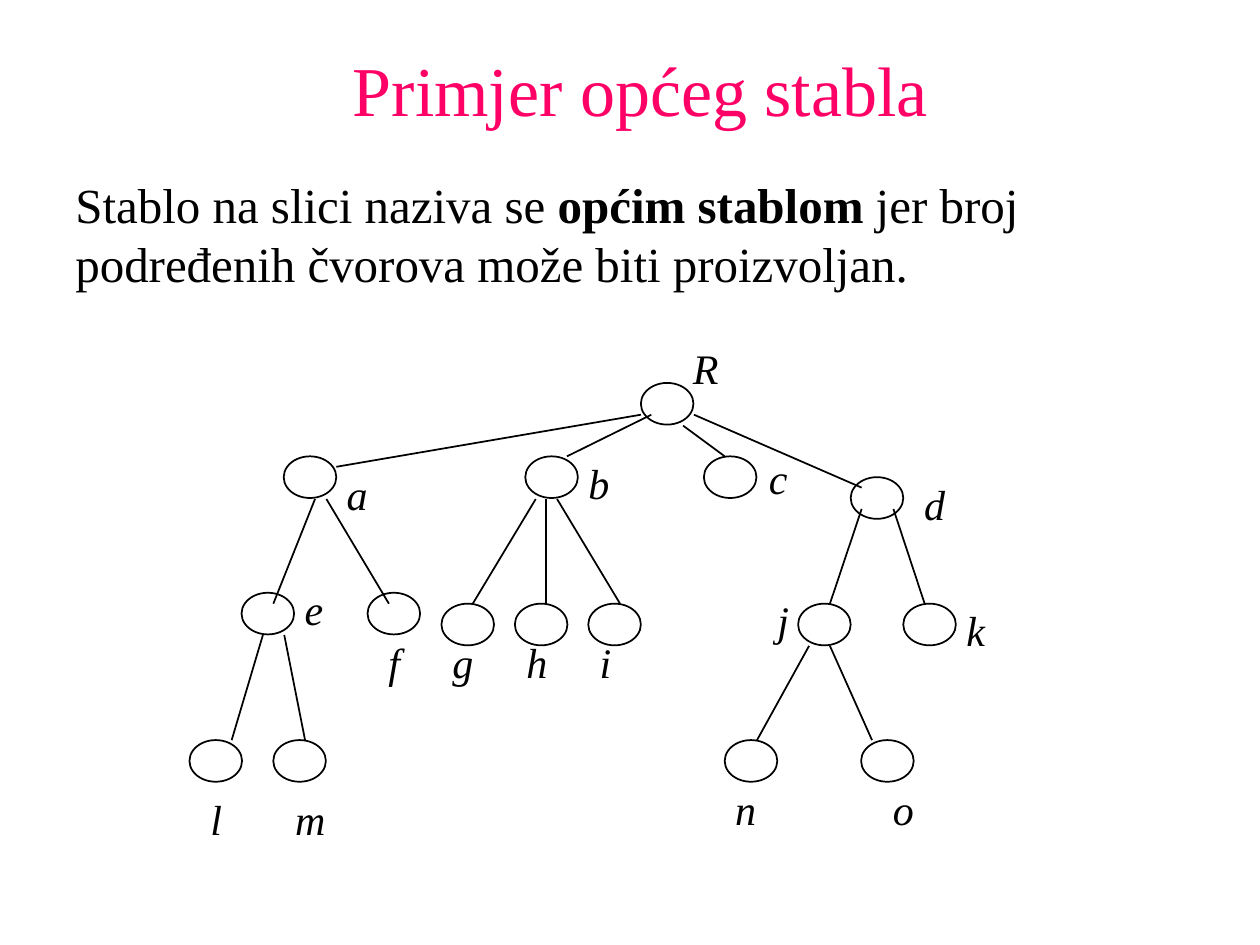
"""Build a slide that shows an example of a general tree."""
from dataclasses import dataclass

from lxml.etree import SubElement
from pptx import Presentation
from pptx.dml.color import RGBColor as Rgb
from pptx.enum.shapes import MSO_CONNECTOR as Link, MSO_SHAPE as Form
from pptx.enum.text import PP_ALIGN as Align
from pptx.oxml.ns import qn
from pptx.util import Cm, Pt


@dataclass(frozen=True)
class Theme:
    face: str = "Times New Roman"
    pink: Rgb = Rgb(0xFF, 0x00, 0x66)
    ink: Rgb = Rgb(0x00, 0x00, 0x00)
    paper: Rgb = Rgb(0xFF, 0xFF, 0xFF)
    head: Pt = Pt(40)
    body: Pt = Pt(28)
    tag: Pt = Pt(24)
    line: Pt = Pt(1)


theme = Theme()
deck = Presentation()
deck.slide_width, deck.slide_height = Cm(25.4), Cm(19.05)
slide = deck.slides.add_slide(deck.slide_layouts[6])
shapes = slide.shapes


def add_text(box, parts, size, color):
    frame = shapes.add_textbox(*map(Cm, box)).text_frame
    frame.word_wrap = True
    para = frame.paragraphs[0]
    para.font.name, para.font.size = theme.face, size
    para.font.color.rgb = color
    for part in parts:
        para.add_run().text = part
    return para


title = add_text((1.06, 0.81, 23.7, 1.96), ["Primjer općeg stabla"], theme.head, theme.pink)
title.alignment = Align.CENTER

intro = add_text(
    (1.27, 3.39, 23.29, 2.64),
    ["Stablo na slici naziva se ", "općim stablom", " jer broj podređenih čvorova može biti proizvoljan."],
    theme.body, theme.ink)
intro.runs[1].font.bold = True

nodes = {
    "R": ((12.92, 7.72), (13.72, 6.78)),
    "a": ((5.72, 9.2), (6.74, 9.32)),
    "b": ((10.59, 9.2), (11.61, 9.09)),
    "c": ((14.19, 9.2), (15.25, 8.99)),
    "d": ((17.15, 9.62), (18.38, 9.53)),
    "e": ((4.87, 11.95), (5.89, 11.63)),
    "f": ((7.41, 11.95), (7.58, 12.7)),
    "g": ((8.9, 12.17), (8.87, 12.7)),
    "h": ((10.38, 12.17), (10.36, 12.7)),
    "i": ((11.86, 12.17), (11.84, 12.7)),
    "j": ((16.09, 12.17), (15.42, 11.86)),
    "k": ((18.21, 12.17), (19.23, 12.07)),
    "l": ((3.82, 14.92), (3.99, 15.88)),
    "m": ((5.51, 14.92), (5.7, 15.88)),
    "n": ((14.61, 14.92), (14.57, 15.67)),
    "o": ((17.36, 14.92), (17.75, 15.67)),
}
for spot, _ in nodes.values():
    node = shapes.add_shape(Form.OVAL, *map(Cm, (*spot, 1.06, 0.84)))
    node.shadow.inherit = False
    node.fill.solid()
    node.fill.fore_color.rgb = theme.paper
    node.line.color.rgb, node.line.width = theme.ink, theme.line

edges = [
    (12.92, 8.36, 6.78, 9.41),
    (13.13, 8.36, 11.43, 9.2),
    (13.77, 8.58, 14.61, 9.2),
    (13.99, 8.36, 17.37, 9.83),
    (6.35, 10.06, 5.51, 12.17),
    (6.58, 10.06, 7.84, 12.17),
    (10.8, 10.06, 9.53, 12.17),
    (11.01, 10.06, 11.01, 12.17),
    (11.23, 10.06, 12.5, 12.17),
    (17.37, 10.26, 16.73, 12.17),
    (18.01, 10.26, 18.64, 12.17),
    (5.3, 12.8, 4.67, 14.92),
    (5.73, 12.8, 6.15, 14.92),
    (16.31, 13.02, 15.26, 14.92),
    (16.73, 13.02, 17.58, 14.92),
]
for ends in edges:
    edge = shapes.add_connector(Link.STRAIGHT, *map(Cm, ends))
    edge.line.color.rgb, edge.line.width = theme.ink, theme.line
    SubElement(edge._element.spPr, qn("a:effectLst"))

for name, (_, place) in nodes.items():
    label = add_text((*place, 1.2, 1.27), [name], theme.tag, theme.ink)
    label.font.italic = True

deck.save("out.pptx")
